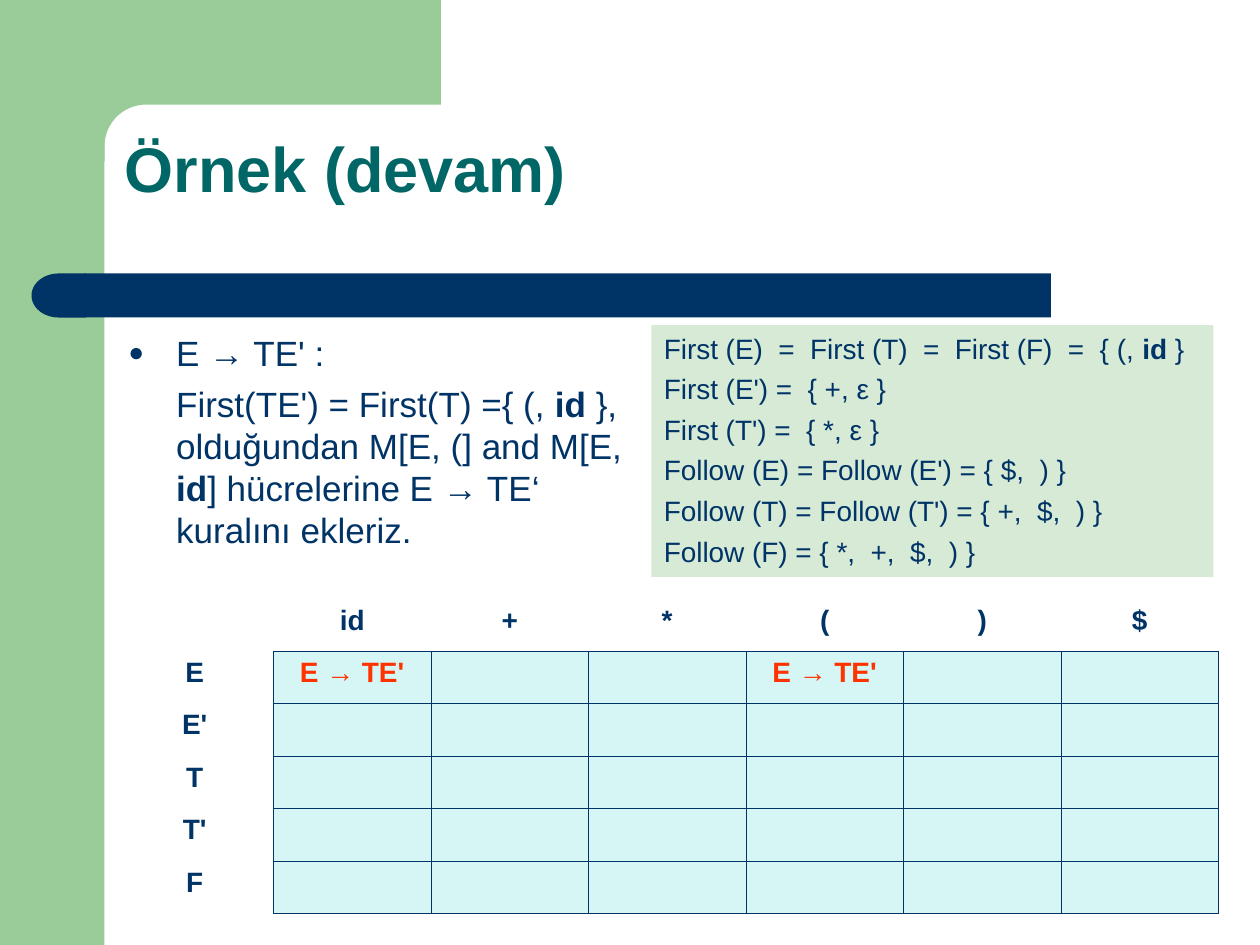
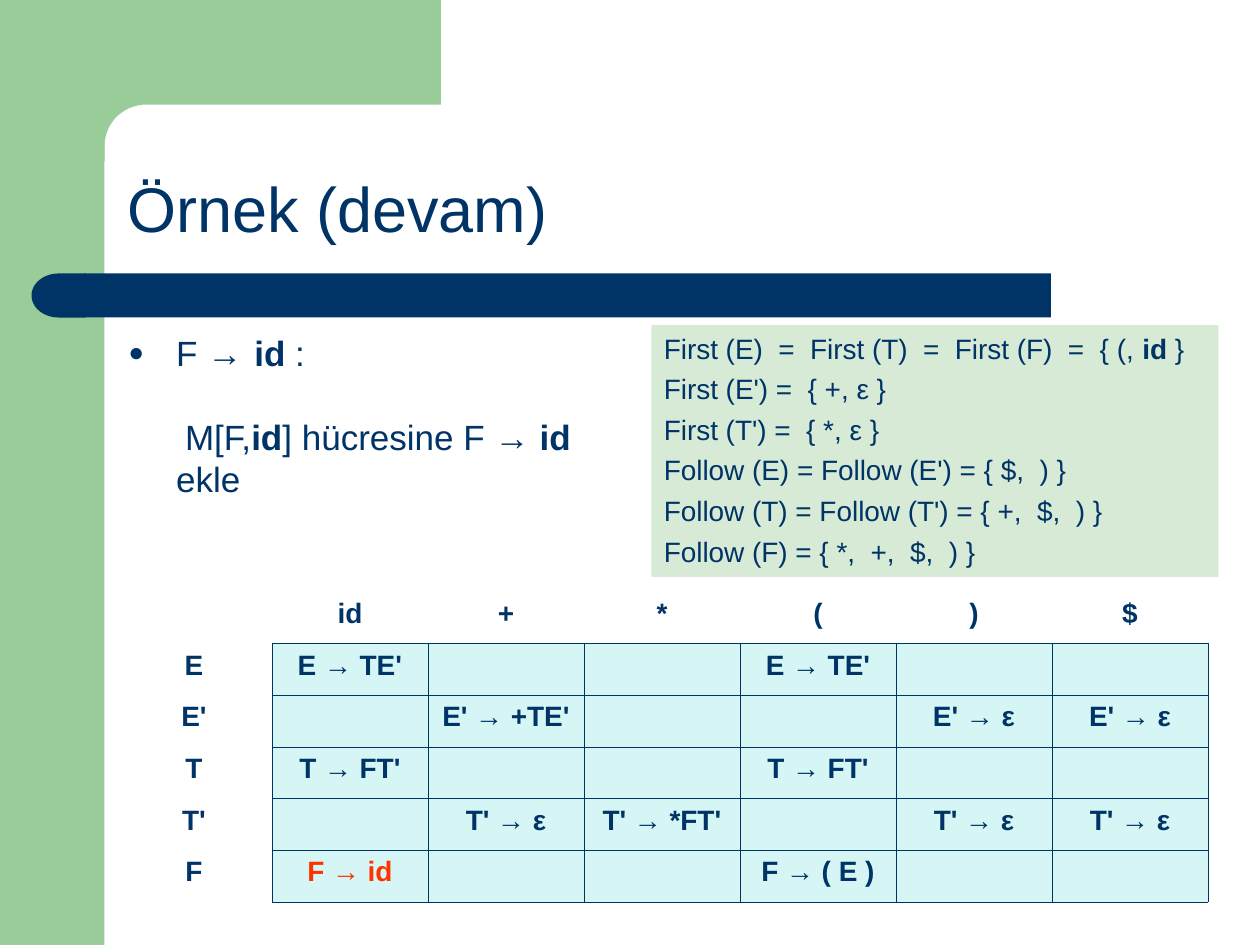
import math
from lxml import etree
from pptx import Presentation
from pptx import util as u
from pptx.dml.color import RGBColor
from pptx.enum import shapes, text
from pptx.oxml import ns

Inches, Pt = u.Inches, u.Pt

NAVY = RGBColor(0x00, 0x33, 0x66)
TEAL = RGBColor(0x00, 0x66, 0x66)
GREEN = RGBColor(0x99, 0xCC, 0x99)
PALE = RGBColor(0xD6, 0xEA, 0xD6)
AQUA = RGBColor(0xD5, 0xF6, 0xF5)
RED = RGBColor(0xFF, 0x33, 0x00)
FONT = "Arial"

SETS = [
    "First (E)  =  First (T)  =  First (F)  =  { (, |id| }",
    "First (E') =  { +, ε }",
    "First (T') =  { *, ε }",
    "Follow (E) = Follow (E') = { $,  ) }",
    "Follow (T) = Follow (T') = { +,  $,  ) }",
    "Follow (F) = { *,  +,  $,  ) }",
]
HEADS = ["id", "+", "*", "(", ")", "$"]
NAMES = ["E", "E'", "T", "T'", "F"]

# What differs from slide to slide; rules are keyed by (row, column)
SLIDES = [
    dict(
        title=(0.89, 0.89, 8.55, 0.8), inset=(0.1, 0.05), ink=TEAL, bold=True,
        width=4.17, sets=4.46, indent=0, gap=5,
        body=["E → TE' :",
              "First(TE') = First(T) ={ (, |id| }, olduğundan M[E, (] and M[E, "
              "|id|] hücrelerine E → TE‘ kuralını ekleriz."],
        table=(4.75, 8.75, 2.5),
        rules={("E", "id"): "E → TE'", ("E", "("): "E → TE'"},
        new=[("E", "id"), ("E", "(")],
    ),
    dict(
        title=(0.83, 0.83, 8.67, 1.25), inset=(0.18, 0.13), ink=NAVY, bold=False,
        width=4.12, sets=4.5, indent=0.07, gap=24,
        body=["F →\t|id| :", "M[F,|id|] hücresine F → |id| ekle"],
        table=(4.7, 8.67, 2.46),
        rules={("E", "id"): "E → TE'", ("E", "("): "E → TE'",
               ("E'", "+"): "E' → +TE'", ("E'", ")"): "E' → ε", ("E'", "$"): "E' → ε",
               ("T", "id"): "T → FT'", ("T", "("): "T → FT'",
               ("T'", "+"): "T' → ε", ("T'", "*"): "T' → *FT'",
               ("T'", ")"): "T' → ε", ("T'", "$"): "T' → ε",
               ("F", "id"): "F → id", ("F", "("): "F → ( E )"},
        new=[("F", "id")],
    ),
]


def add(node, tag, **attrs):
    return etree.SubElement(node, ns.qn(tag), attrs)


def write(par, line, size, ink=NAVY, bold=False):
    """Fill a paragraph; bars switch bold on and off."""
    par.font.name, par.font.size = FONT, Pt(size)
    par.font.color.rgb, par.font.bold = ink, bold
    for i, part in enumerate(line.split("|")):
        run = par.add_run()
        run.text = part
        if i % 2:
            run.font.bold = True


deck = Presentation()
deck.slide_width, deck.slide_height = Inches(10), Inches(7.5)
plan = deck.slide_layouts[5]
pages = [deck.slides.add_slide(plan) for _ in SLIDES]

# Shared frame: side band, rounded corner and bar, moved onto the layout
draw = pages[0].shapes
kind = shapes.MSO_SHAPE
side = draw.add_shape(kind.RECTANGLE, 0, 0, Inches(0.83), Inches(7.5))
arc = [(1.16 - 0.33 * math.sin(a), 1.16 - 0.33 * math.cos(a))
       for a in (math.radians(d) for d in range(0, 91, 6))]
pen = draw.build_freeform(Inches(3.5), 0, scale=1.0)
pen.add_line_segments(
    [(Inches(x), Inches(y)) for x, y in
     [(3.5, 0.83), *arc, (0.83, 1.28), (0.5, 1.28), (0.5, 0)]])
corner = pen.convert_to_shape()
bar = draw.add_shape(kind.RECTANGLE, Inches(0.67), Inches(2.17), Inches(7.67), Inches(0.35))
cap = draw.add_shape(kind.FLOWCHART_DELAY, Inches(0.25), Inches(2.17), Inches(0.43), Inches(0.35))
cap.rotation = 180
for part, ink in [(side, GREEN), (corner, GREEN), (bar, NAVY), (cap, NAVY)]:
    part.shadow.inherit = False
    part.fill.solid()
    part.fill.fore_color.rgb = ink
    part.line.fill.background()
    plan.shapes._spTree.append(part._element)

for page, data in zip(pages, SLIDES):
    # Title
    title = page.shapes.title
    title.left, title.top, title.width, title.height = map(Inches, data["title"])
    frame = title.text_frame
    frame.auto_size = text.MSO_AUTO_SIZE.NONE
    frame.word_wrap = True
    frame.vertical_anchor = text.MSO_ANCHOR.BOTTOM
    frame.margin_left = frame.margin_right = Inches(data["inset"][0])
    frame.margin_top = frame.margin_bottom = Inches(data["inset"][1])
    par = frame.paragraphs[0]
    par.alignment = text.PP_ALIGN.LEFT
    par.line_spacing = 0.9
    write(par, "Örnek (devam)", 36, data["ink"], data["bold"])

    # Rule and its explanation
    box = page.shapes.add_textbox(Inches(0.92), Inches(2.58), Inches(data["width"]), Inches(1.95))
    frame = box.text_frame
    frame.word_wrap = True
    for i, line in enumerate(data["body"]):
        par = frame.add_paragraph() if i else frame.paragraphs[0]
        prop = par._p.get_or_add_pPr()
        prop.set("marL", str(Inches(0.38)))
        prop.set("indent", str(Inches(data["indent"] if i else -0.38)))
        if i:
            par.space_before = Pt(data["gap"])
        else:
            add(add(prop, "a:buClr"), "a:srgbClr", val=str(NAVY))
            add(prop, "a:buSzPct", val="75000")
            add(prop, "a:buFont", typeface=FONT)
            add(prop, "a:buChar", char="●")
            add(add(prop, "a:tabLst"), "a:tab", pos=str(Inches(1)), algn="l")
        write(par, line, 20)

    # First and Follow sets
    box = page.shapes.add_shape(kind.RECTANGLE, Inches(5.17), Inches(2.58),
                                Inches(data["sets"]), Inches(2))
    box.shadow.inherit = False
    box.fill.solid()
    box.fill.fore_color.rgb = PALE
    box.line.fill.background()
    frame = box.text_frame
    frame.word_wrap = True
    frame.vertical_anchor = text.MSO_ANCHOR.TOP
    for i, line in enumerate(SETS):
        par = frame.add_paragraph() if i else frame.paragraphs[0]
        par.alignment = text.PP_ALIGN.LEFT
        if i:
            par.space_before = Pt(4)
        write(par, line, 16)

    # Parsing table
    top, width, height = data["table"]
    grid = page.shapes.add_table(len(NAMES) + 1, len(HEADS) + 1, Inches(0.92), Inches(top),
                                 Inches(width), Inches(height)).table
    grid.first_row = grid.horz_banding = False
    style = grid._tbl.tblPr.find(ns.qn("a:tableStyleId"))
    style.text = "{2D5ABB26-0587-4C30-8999-92F81FD0307C}"
    for r, name in enumerate([""] + NAMES):
        for c, head in enumerate([""] + HEADS):
            cell = grid.cell(r, c)
            key = (name, head)
            label = data["rules"].get(key, "") if r and c else name or head
            par = cell.text_frame.paragraphs[0]
            par.alignment = text.PP_ALIGN.CENTER
            if label:
                write(par, label, 16, RED if key in data["new"] else NAVY, True)
            if not (r and c):
                cell.fill.background()
                continue
            prop = cell._tc.get_or_add_tcPr()
            for edge in ("a:lnL", "a:lnR", "a:lnT", "a:lnB"):
                line = add(prop, edge, w=str(Pt(0.45)))
                add(add(line, "a:solidFill"), "a:srgbClr", val=str(NAVY))
            cell.fill.solid()
            cell.fill.fore_color.rgb = AQUA

deck.save("out.pptx")
